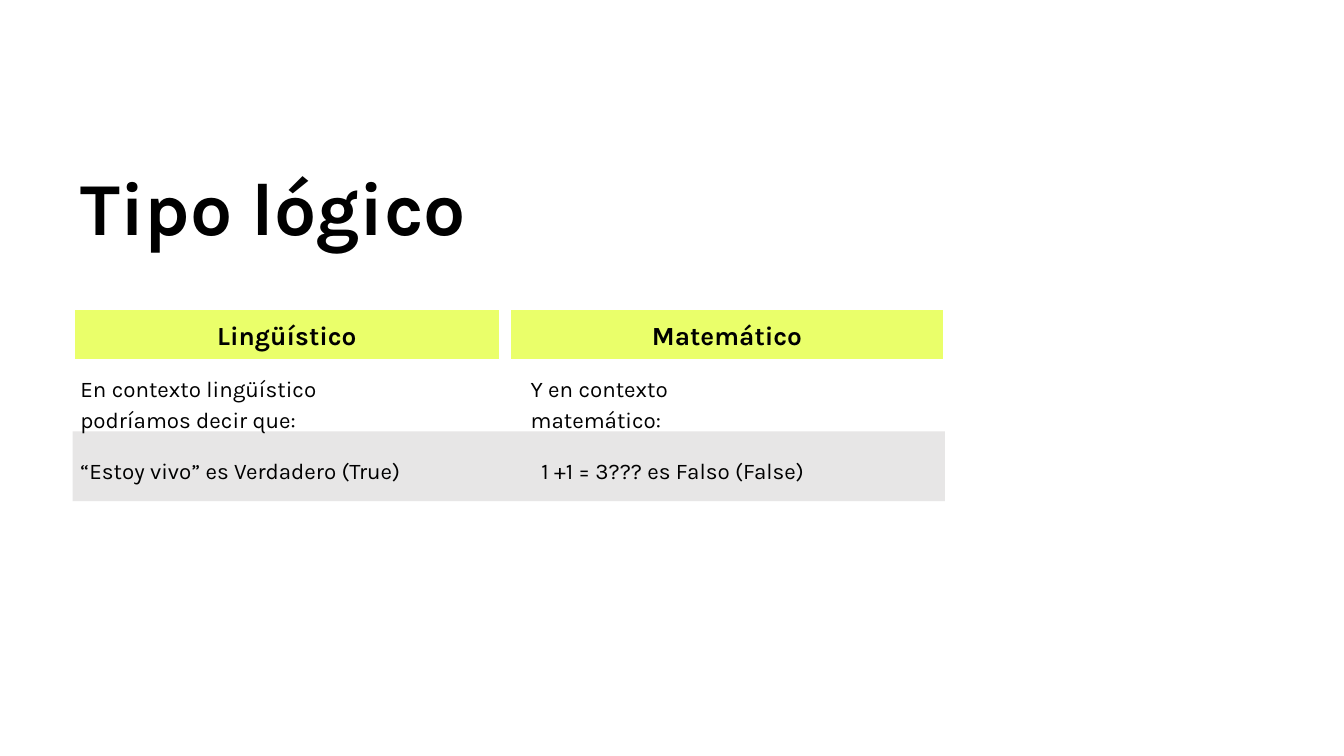
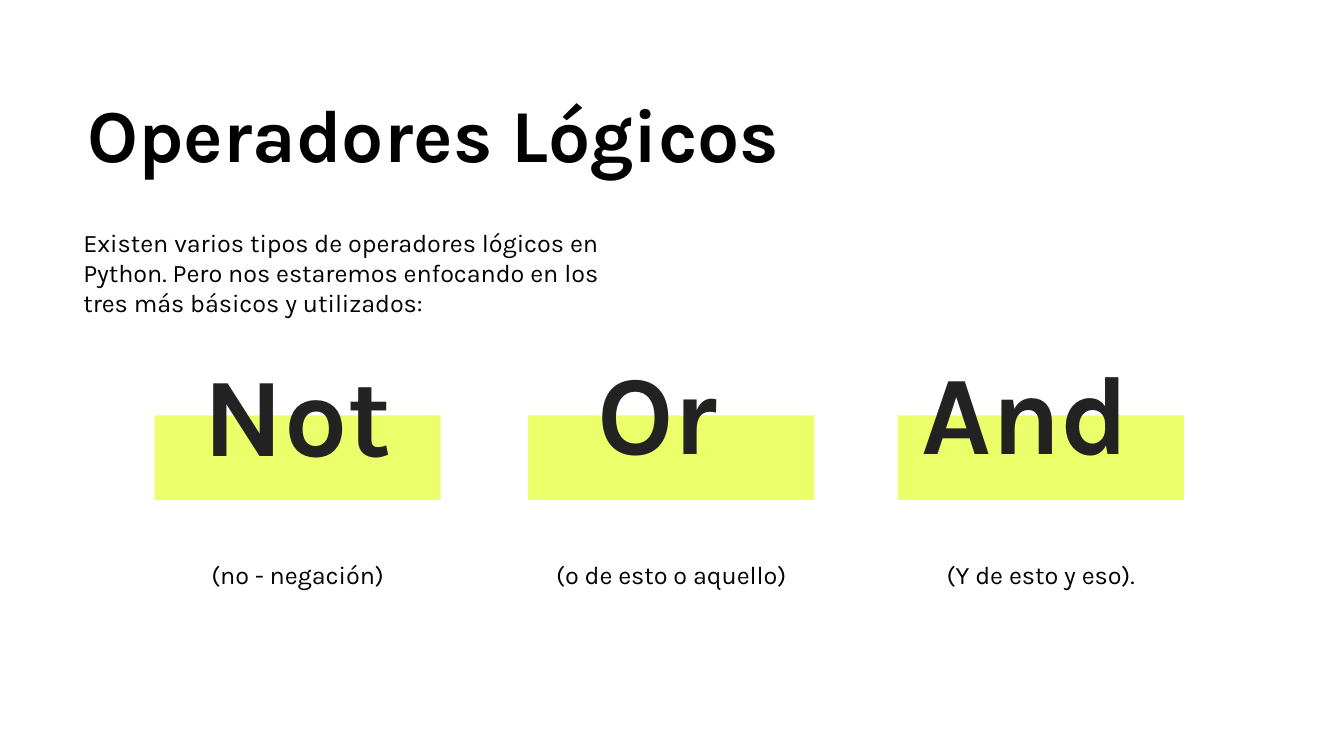
from dataclasses import dataclass
from typing import NamedTuple, Optional

from lxml.etree import SubElement
from pptx import Presentation
from pptx.dml.color import RGBColor
from pptx.enum.shapes import MSO_SHAPE
from pptx.enum.text import MSO_ANCHOR, MSO_AUTO_SIZE, PP_ALIGN
from pptx.oxml.ns import qn
from pptx.util import Inches, Pt

COLORS = {
    "ink": "000000",
    "charcoal": "222222",
    "lime": "EAFF6A",
    "gray": "E7E6E6",
    "white": "FFFFFF",
}
FONT = "Karla"
INSET = Inches(0.1)
GRID_COLUMNS, GRID_ROWS = 100, 56.25

deck = Presentation()
deck.slide_width, deck.slide_height = Inches(10), Inches(5.625)


class Area(NamedTuple):
    column: float
    row: float
    columns: float
    rows: float

    def lengths(self) -> tuple:
        unit_x = deck.slide_width / GRID_COLUMNS
        unit_y = deck.slide_height / GRID_ROWS
        return (round(self.column * unit_x), round(self.row * unit_y),
                round(self.columns * unit_x), round(self.rows * unit_y))


@dataclass(frozen=True)
class TextStyle:
    size: float
    bold: bool = False
    color: str = "ink"
    align: PP_ALIGN = PP_ALIGN.LEFT
    spacing: float = 1.0
    anchor: MSO_ANCHOR = MSO_ANCHOR.TOP


@dataclass(frozen=True)
class Context:
    heading: str
    heading_column: float
    heading_columns: float
    intro: str
    intro_column: float
    example: str
    example_column: float
    example_columns: float


@dataclass(frozen=True)
class Operator:
    word: str
    meaning: str
    column: float
    word_row: float
    right_inset: float


TITLE = TextStyle(40, bold=True, spacing=0.9)
HEADING = TextStyle(14, bold=True, align=PP_ALIGN.CENTER, anchor=MSO_ANCHOR.MIDDLE)
NOTE = TextStyle(12, spacing=1.15)
INTRO = TextStyle(13.5)
WORD = TextStyle(60, bold=True, color="charcoal", align=PP_ALIGN.CENTER, spacing=0.9)
MEANING = TextStyle(13.5, align=PP_ALIGN.CENTER, spacing=1.15)

CONTEXTS = [
    Context("Lingüístico", 5.4, 31.9,
            "En contexto lingüístico podríamos decir que:", 5,
            "“Estoy vivo” es Verdadero (True)", 5, 29.2),
    Context("Matemático", 37.9, 32.4,
            "Y en contexto matemático:", 38.5,
            "1 +1 = 3??? es Falso (False)", 39.3, 31.4),
]
OPERATORS = [
    Operator("Not", "(no - negación)", 11.5, 25.8, 0.1),
    Operator("Or", "(o de esto o aquello)", 39.3, 25.6, 0.3),
    Operator("And", "(Y de esto y eso).", 66.8, 25.6, 0.33),
]
OPERATOR_COLUMNS = 21.3


def rgb(name: str) -> RGBColor:
    return RGBColor.from_string(COLORS[name])


def write(part, text: str, style: TextStyle, right_inset: float = 0.1) -> None:
    frame = part.text_frame
    frame.text = text
    frame.word_wrap = True
    frame.auto_size = MSO_AUTO_SIZE.NONE
    frame.vertical_anchor = style.anchor
    frame.margin_left = frame.margin_top = frame.margin_bottom = INSET
    frame.margin_right = Inches(right_inset)
    paragraph = frame.paragraphs[0]
    paragraph.alignment = style.align
    paragraph.line_spacing = style.spacing
    paragraph.space_before = paragraph.space_after = Pt(0)
    for run in paragraph.runs:
        run.font.name = FONT
        run.font.size = Pt(style.size)
        run.font.bold = style.bold
        run.font.color.rgb = rgb(style.color)


def add_text(slide, area: Area, text: str, style: TextStyle,
             right_inset: float = 0.1) -> None:
    write(slide.shapes.add_textbox(*area.lengths()), text, style, right_inset)


def fill_placeholder(placeholder, area: Area, text: str, style: TextStyle) -> None:
    (placeholder.left, placeholder.top,
     placeholder.width, placeholder.height) = area.lengths()
    write(placeholder, text, style)


def remove_bullet(placeholder) -> None:
    properties = placeholder.text_frame.paragraphs[0]._p.get_or_add_pPr()
    properties.set("marL", "0")
    properties.set("indent", "0")
    SubElement(properties, qn("a:buNone"))


def add_band(slide, area: Area, color: str, border: Optional[str] = None):
    band = slide.shapes.add_shape(MSO_SHAPE.RECTANGLE, *area.lengths())
    band.shadow.inherit = False
    band.fill.solid()
    band.fill.fore_color.rgb = rgb(color)
    if border:
        band.line.color.rgb = rgb(border)
        band.line.width = Pt(2.25)
    else:
        band.line.fill.background()
    return band


def new_slide(layout_index: int, title: str, title_area: Area):
    slide = deck.slides.add_slide(deck.slide_layouts[layout_index])
    slide.background.fill.solid()
    slide.background.fill.fore_color.rgb = rgb("white")
    fill_placeholder(slide.shapes.title, title_area, title, TITLE)
    return slide


def build_logical_type() -> None:
    slide = new_slide(5, "Tipo lógico", Area(5, 11.7, 51.7, 8.1))
    add_band(slide, Area(5.4, 32.1, 64.9, 5.2), "gray")
    for context in CONTEXTS:
        heading_area = Area(context.heading_column, 22.9, context.heading_columns, 4)
        write(add_band(slide, heading_area, "lime", "white"), context.heading, HEADING)
        add_text(slide, Area(context.intro_column, 26.6, 21.1, 4.6), context.intro, NOTE)
        add_text(slide, Area(context.example_column, 32.7, context.example_columns, 4.6),
                 context.example, NOTE)


def build_logical_operators() -> None:
    slide = new_slide(1, "Operadores Lógicos", Area(5.5, 6.3, 89, 8.1))
    introduction = slide.placeholders[1]
    fill_placeholder(
        introduction, Area(5.2, 15.9, 41.9, 8.8),
        "Existen varios tipos de operadores lógicos en Python. Pero nos estaremos "
        "enfocando en los tres más básicos y utilizados:", INTRO)
    remove_bullet(introduction)
    for operator in OPERATORS:
        add_band(slide, Area(operator.column, 30.9, OPERATOR_COLUMNS, 6.3), "lime")
        add_text(slide, Area(operator.column, operator.word_row, OPERATOR_COLUMNS, 11.1),
                 operator.word, WORD, operator.right_inset)
        add_text(slide, Area(operator.column, 40.3, OPERATOR_COLUMNS, 4.3),
                 operator.meaning, MEANING)


build_logical_type()
build_logical_operators()
deck.save("out.pptx")
